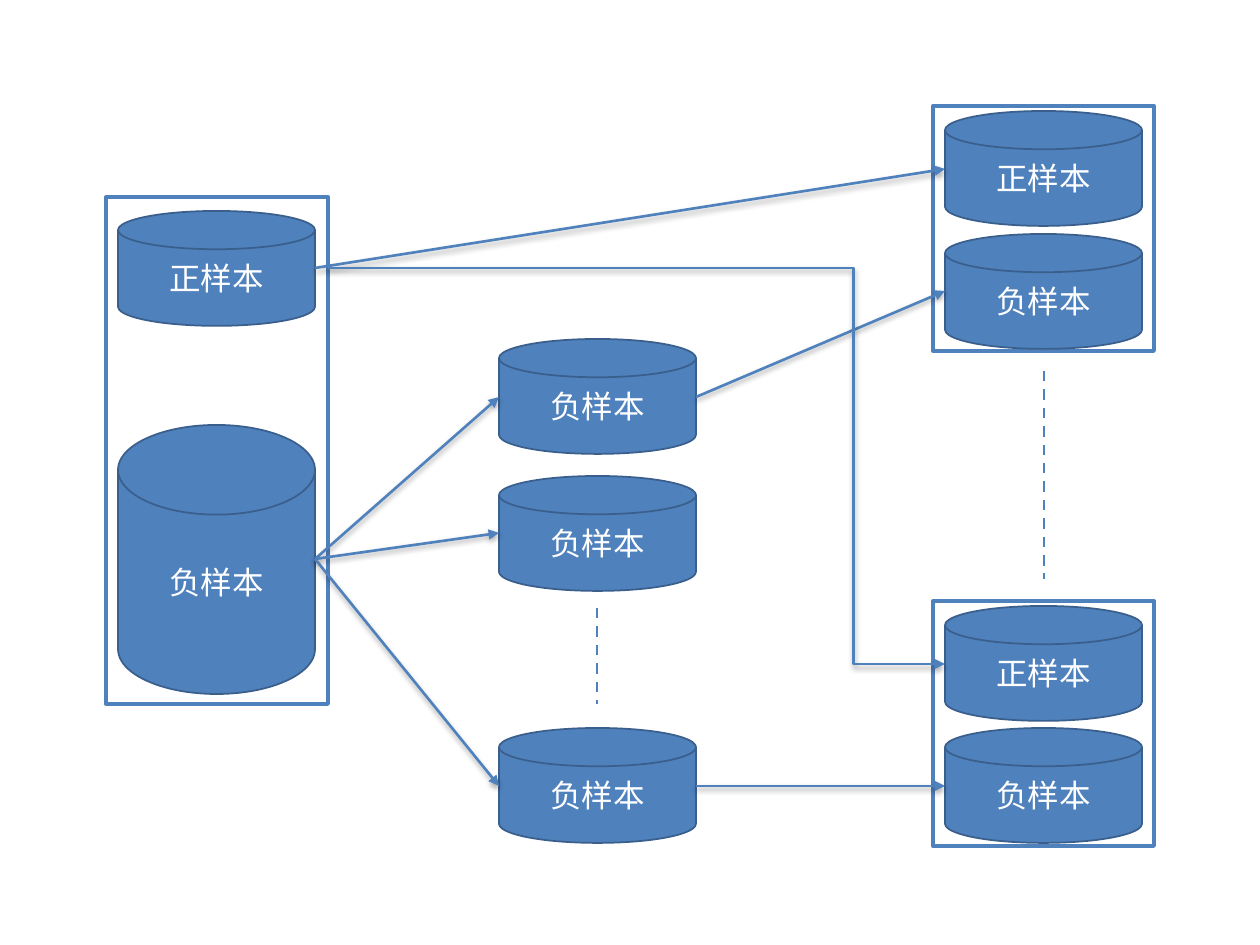
import pptx
import pptx.util
import pptx.dml.color
import pptx.enum.dml
import pptx.enum.shapes
import pptx.enum.text
import pptx.oxml
import pptx.oxml.ns

PX = 914400 / 126
RGB = pptx.dml.color.RGBColor.from_string
MSO = pptx.enum.shapes.MSO_SHAPE
CONN = pptx.enum.shapes.MSO_CONNECTOR
NS = pptx.oxml.ns.nsdecls("a")
THEME = {
    "blue": RGB("4F81BD"),
    "edge": RGB("3A5F8C"),
    "text": RGB("FFFFFF"),
    "font": "Noto Sans CJK SC",
    "size": pptx.util.Pt(18),
    "frame_line": pptx.util.Pt(2.25),
    "disk_line": pptx.util.Pt(1),
    "link_line": pptx.util.Pt(1.5),
}
SHADOW = (
    f'<a:effectLst {NS}><a:outerShdw blurRad="40000" dist="23000" dir="5400000" rotWithShape="0">'
    '<a:srgbClr val="000000"><a:alpha val="35000"/></a:srgbClr></a:outerShdw></a:effectLst>'
)


def add_box(kind, *box):
    sp = s.shapes.add_shape(kind, *(round(v * PX) for v in box))
    sp.shadow.inherit = False
    return sp


def add_link(kind, *ends):
    c = s.shapes.add_connector(kind, *(round(v * PX) for v in ends))
    c.line.color.rgb = THEME["blue"]
    c.line.width = THEME["link_line"]
    return c


prs = pptx.Presentation()
prs.slide_width = pptx.util.Inches(10)
prs.slide_height = pptx.util.Inches(7.5)
s = prs.slides.add_slide(prs.slide_layouts[6])

for box in [(106, 197, 222, 507), (933, 106, 221, 245), (933, 601, 221, 245)]:
    sp = add_box(MSO.RECTANGLE, *box)
    sp.fill.background()
    sp.line.color.rgb = THEME["blue"]
    sp.line.width = THEME["frame_line"]

POS, NEG = "正样本", "负样本"
DISK_W, DISK_H = 197, 115
LEFT, MID, RIGHT = 118, 499, 945
disks = [
    (POS, LEFT, 211, DISK_H),
    (NEG, LEFT, 425, 269),
    (NEG, MID, 339, DISK_H),
    (NEG, MID, 476, DISK_H),
    (NEG, MID, 728, DISK_H),
    (POS, RIGHT, 111, DISK_H),
    (NEG, RIGHT, 234, DISK_H),
    (POS, RIGHT, 606, DISK_H),
    (NEG, RIGHT, 728, DISK_H),
]
for label, x, y, h in disks:
    sp = add_box(MSO.FLOWCHART_MAGNETIC_DISK, x, y, DISK_W, h)
    sp.fill.solid()
    sp.fill.fore_color.rgb = THEME["blue"]
    sp.line.color.rgb = THEME["edge"]
    sp.line.width = THEME["disk_line"]
    tf = sp.text_frame
    tf.vertical_anchor = pptx.enum.text.MSO_ANCHOR.MIDDLE
    p = tf.paragraphs[0]
    p.alignment = pptx.enum.text.PP_ALIGN.CENTER
    r = p.add_run()
    r.text = label
    p.font.size = THEME["size"]
    p.font.name = THEME["font"]
    p.font.color.rgb = THEME["text"]
    ea = pptx.oxml.parse_xml(f'<a:ea {NS} typeface="{THEME["font"]}"/>')
    r.font.name = THEME["font"]
    r._r.get_or_add_rPr().append(ea)

for x, top, bottom in [(597, 608, 704), (1044, 371, 579)]:
    c = add_link(CONN.STRAIGHT, x, top, x, bottom)
    c.line.dash_style = pptx.enum.dml.MSO_LINE.DASH
    c._element.spPr.append(pptx.oxml.parse_xml(f"<a:effectLst {NS}/>"))

arrows = [
    (CONN.STRAIGHT, LEFT + DISK_W, 559, MID, 397),
    (CONN.STRAIGHT, LEFT + DISK_W, 559, MID, 533),
    (CONN.STRAIGHT, LEFT + DISK_W, 559, MID, 786),
    (CONN.STRAIGHT, LEFT + DISK_W, 268, RIGHT, 169),
    (CONN.STRAIGHT, MID + DISK_W, 397, RIGHT, 291),
    (CONN.ELBOW, 328, 268, RIGHT, 664),
    (CONN.STRAIGHT, MID + DISK_W, 786, RIGHT, 786),
]
for kind, *ends in arrows:
    c = add_link(kind, *ends)
    c.line._get_or_add_ln().append(pptx.oxml.parse_xml(f'<a:tailEnd {NS} type="triangle"/>'))
    c._element.spPr.append(pptx.oxml.parse_xml(SHADOW))
    if kind == CONN.ELBOW:
        av = c._element.spPr.find(".//" + pptx.oxml.ns.qn("a:avLst"))
        av.append(pptx.oxml.parse_xml(f'<a:gd {NS} name="adj1" fmla="val 85200"/>'))

prs.save("out.pptx")
